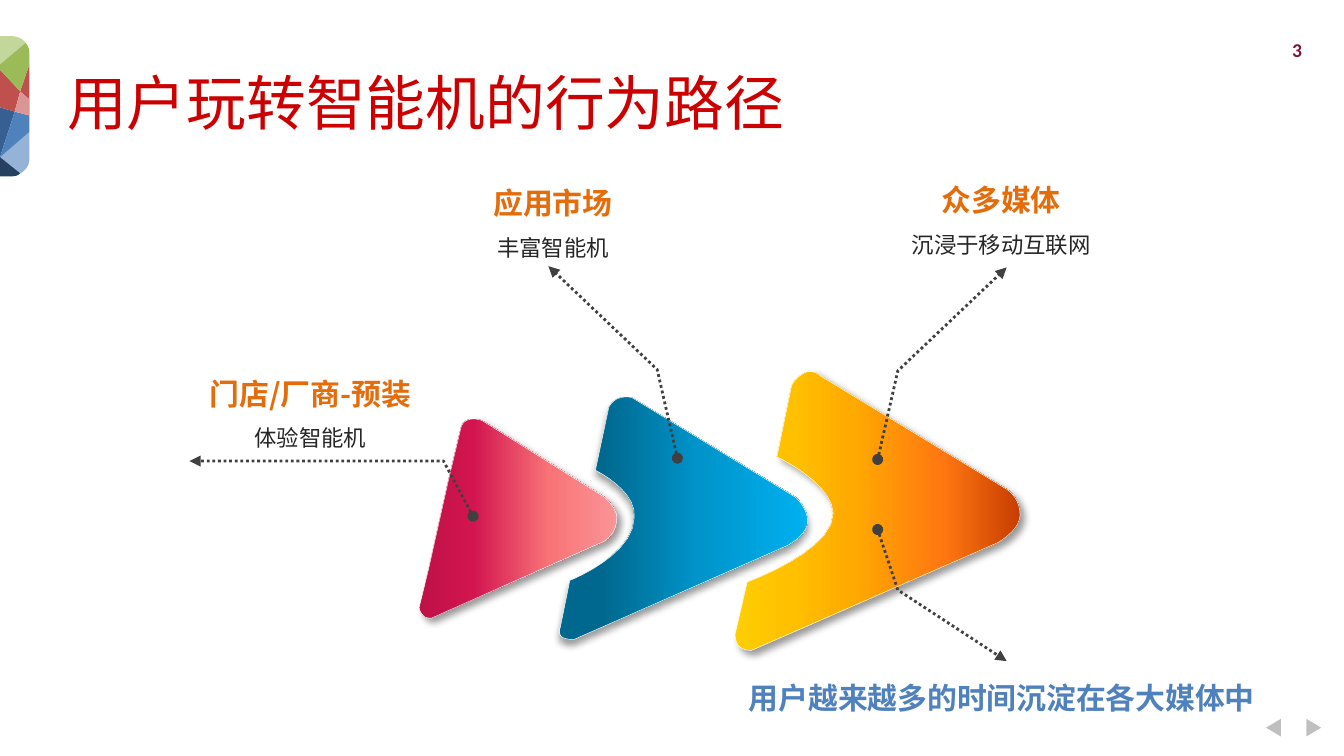
from dataclasses import dataclass

from lxml.etree import SubElement
from pptx import Presentation
from pptx.dml.color import RGBColor
from pptx.enum.dml import MSO_LINE
from pptx.enum.shapes import MSO_SHAPE as Preset
from pptx.enum.text import MSO_AUTO_SIZE as AutoSize, PP_ALIGN as Align
from pptx.oxml.ns import qn
from pptx.util import Pt


@dataclass(frozen=True)
class Theme:
    cjk: str = "Noto Sans CJK SC"
    latin: str = "Calibri"
    title: str = "CC0000"
    heading: str = "E46C0A"
    body: str = "262626"
    summary: str = "4F81BD"
    number: str = "801637"
    leader: str = "404040"
    button: str = "BFBFBF"
    edge: str = "FFFFFF"
    pink: tuple = ((0, "BE1247"), (27, "D2144F"), (66, "F87477"), (100, "FA9496"))
    blue: tuple = ((17, "00688E"), (56, "0094CA"), (100, "00B0F0"))
    orange: tuple = ((0, "FECE02"), (20, "FFC000"), (41, "FFAA01"),
                     (73, "FF7711"), (100, "C73E01"))
    title_size: float = 32
    heading_size: float = 16
    body_size: float = 12
    number_size: float = 10.5


THEME = Theme()


def flatten(path, steps=10):
    """Turn (x, y) corners and (x1, y1, x2, y2, x, y) Bezier curves into points."""
    points = [path[0]]
    for item in path[1:]:
        if len(item) == 2:
            points.append(item)
            continue
        start, first, second, end = points[-1], item[:2], item[2:4], item[4:]
        for step in range(1, steps + 1):
            t = step / steps
            u = 1 - t
            points.append(tuple(
                u**3 * a + 3 * u * u * t * b + 3 * u * t * t * c + t**3 * d
                for a, b, c, d in zip(start, first, second, end)))
    return points


def write(para, text, *, size, color, font=THEME.cjk, bold=False,
          align=Align.CENTER, spacing=None, before=None):
    para.alignment = align
    if spacing:
        para.line_spacing = spacing
    if before:
        para.space_before = Pt(before)
    span = para.add_run()
    span.text = text
    span.font.size = Pt(size)
    span.font.bold = bold
    span.font.color.rgb = RGBColor.from_string(color)
    span.font.name = font
    SubElement(span.font._element, qn("a:ea"), typeface=font)


class SlideBuilder:
    def __init__(self, page, theme):
        self.page = page
        self.theme = theme

    def text_box(self, left, top, width, height, *, wrap=True, grow=True, inset=True):
        box = self.page.shapes.add_textbox(Pt(left), Pt(top), Pt(width), Pt(height))
        frame = box.text_frame
        frame.word_wrap = wrap
        frame.auto_size = AutoSize.SHAPE_TO_FIT_TEXT if grow else AutoSize.NONE
        if not inset:
            frame.margin_left = frame.margin_right = 0
            frame.margin_top = frame.margin_bottom = 0
        return frame

    def outline(self, path, closed=True):
        points = [(Pt(x), Pt(y)) for x, y in flatten(path)]
        builder = self.page.shapes.build_freeform(*points[0])
        builder.add_line_segments(points[1:], close=closed)
        shape = builder.convert_to_shape()
        shape.shadow.inherit = False
        return shape

    def paint(self, shape, color):
        shape.fill.solid()
        shape.fill.fore_color.rgb = RGBColor.from_string(color)
        shape.line.fill.background()

    def facet(self, path, color):
        self.paint(self.outline(path), color)

    def button(self, left, turn):
        shape = self.page.shapes.add_shape(
            Preset.ISOSCELES_TRIANGLE, Pt(left), Pt(385.9), Pt(9.4), Pt(7.9))
        shape.rotation = turn
        shape.shadow.inherit = False
        self.paint(shape, self.theme.button)

    def stage(self, path, stops, shadow_angle):
        """Draw a rounded arrowhead with a left-to-right gradient and a shadow."""
        shape = self.outline(path)
        shape.fill.gradient()
        shape.fill.gradient_angle = 0
        properties = shape.element.spPr
        stop_list = properties.find(".//" + qn("a:gsLst"))
        for old in list(stop_list):
            stop_list.remove(old)
        for position, color in stops:
            stop = SubElement(stop_list, qn("a:gs"), pos=str(position * 1000))
            SubElement(stop, qn("a:srgbClr"), val=color)
        shape.line.color.rgb = RGBColor.from_string(self.theme.edge)
        shape.line.width = Pt(0.25)
        shadow = SubElement(
            properties.find(qn("a:effectLst")), qn("a:outerShdw"),
            blurRad=str(Pt(4)), dist=str(Pt(3)), dir=str(shadow_angle * 60000),
            algn="ctr", rotWithShape="0")
        tint = SubElement(shadow, qn("a:srgbClr"), val="000000")
        SubElement(tint, qn("a:alpha"), val="40000")

    def leader(self, *points):
        """Draw a bent dotted line from a dot to an arrowhead."""
        shape = self.outline(points, closed=False)
        shape.fill.background()
        shape.line.color.rgb = RGBColor.from_string(self.theme.leader)
        shape.line.width = Pt(1.5)
        shape.line.dash_style = MSO_LINE.ROUND_DOT
        stroke = shape.element.spPr.find(qn("a:ln"))
        SubElement(stroke, qn("a:headEnd"), type="oval")
        SubElement(stroke, qn("a:tailEnd"), type="triangle")

    def label(self, left, top, width, heading, detail):
        frame = self.text_box(left, top, width, 57.6)
        write(frame.paragraphs[0], heading, size=self.theme.heading_size,
              color=self.theme.heading, bold=True, spacing=1.5)
        write(frame.add_paragraph(), detail, size=self.theme.body_size,
              color=self.theme.body, spacing=1.5)


HUB, NECK = (7.9, 59.8), (10.8, 49)
FACETS = (
    ([(15.8, 70.6), (0, 84.2), (10.8, 92.9),
      (13.7, 91.4, 15.8, 88.6, 15.8, 85)], "95B3D7"),
    ([HUB, (0, 57.6), (0, 84.2)], "376092"),
    ([HUB, (0, 84.2), (15.8, 70.6), (15.8, 61.9)], "4F81BD"),
    ([(10.8, 92.9), (0, 84.2), (0, 94.5), (5.8, 94.5),
      (7.9, 94.5, 9.4, 94.3, 10.8, 92.9)], "254061"),
    ([(0, 34.6), (13.7, 23), (12.2, 20.9, 9.4, 19.4, 5.8, 19.4), (0, 19.4)], "C3D69B"),
    ([(15.8, 34.6), NECK, (15.8, 53.3)], "C0504D"),
    ([HUB, NECK, (0, 37.4), (0, 57.6)], "C0504D"),
    ([(0, 37.4), NECK, (15.8, 34.6), (15.8, 28.8),
      (15.8, 26.6, 15.1, 24.5, 13.7, 23), (0, 34.6)], "9BBB59"),
    ([(15.8, 53.3), NECK, HUB, (15.8, 61.9)], "D99694"),
)
MEDIA_STAGE = [
    (546.5, 275.8), (546.5, 284.4, 534.2, 290.9, 534.2, 290.9), (402.5, 348.5),
    (402.5, 348.5, 398.2, 348.5, 396, 346.3), (393.8, 344.2, 393.8, 339.8, 393.8, 339.8),
    (400.3, 311.8), (400.3, 311.8, 446.4, 295.2, 446.4, 275),
    (445.7, 258.5, 416.2, 244.8, 416.2, 244.8), (424.1, 206.6),
    (424.1, 206.6, 426.2, 201.6, 432, 199.4), (436.3, 198, 439.9, 201.6, 439.9, 201.6),
    (539.3, 262.1), (539.3, 262.1, 546.5, 266.4, 546.5, 275.8)]
MARKET_STAGE = [
    (432.7, 279.4), (432.7, 286.6, 421.9, 292.3, 421.9, 292.3), (307.4, 342.7),
    (307.4, 342.7, 303.1, 342.7, 301, 341.3), (298.8, 339.1, 300.2, 336.2, 300.2, 336.2),
    (305.3, 311), (305.3, 311, 339.8, 297.4, 339.8, 277.2),
    (341.3, 262.8, 319, 252, 319, 252), (326.2, 218.2),
    (326.2, 218.2, 328.3, 213.8, 332.6, 213.1), (337, 211.7, 339.8, 213.8, 339.8, 213.8),
    (426.2, 266.4), (426.2, 266.4, 432.7, 272.2, 432.7, 279.4)]
STORE_STAGE = [
    (240.5, 256.3), (247, 229), (247, 229, 247.7, 225.4, 252, 224.6),
    (254.9, 223.9, 258.5, 225.4, 258.5, 225.4), (324, 266.4),
    (324, 266.4, 330.5, 272.2, 330.5, 277.2), (330.5, 286.6, 323.3, 290.2, 323.3, 290.2),
    (231.1, 331.2), (231.1, 331.2, 227.5, 331.2, 226.8, 329.8),
    (224.6, 327.6, 224.6, 325.4, 224.6, 325.4), (229.7, 304.6)]


def main():
    deck = Presentation()
    deck.slide_width, deck.slide_height = Pt(720), Pt(405)
    slide = SlideBuilder(deck.slides.add_slide(deck.slide_layouts[6]), THEME)

    slide.button(699.1, 90)
    slide.button(677.5, 270)
    number = slide.text_box(681.1, 16.6, 27.4, 20.2, wrap=False)
    write(number.paragraphs[0], "3", size=THEME.number_size, color=THEME.number,
          font=THEME.latin, bold=True)
    title = slide.text_box(36, 39.6, 400.3, 31.7, grow=False, inset=False)
    write(title.paragraphs[0], "用户玩转智能机的行为路径", size=THEME.title_size,
          color=THEME.title, align=Align.LEFT, spacing=0.9, before=7.5)

    for path, color in FACETS:
        slide.facet(path, color)
    slide.stage(MEDIA_STAGE, THEME.orange, 45)
    slide.stage(MARKET_STAGE, THEME.blue, 90)
    slide.stage(STORE_STAGE, THEME.pink, 45)

    slide.label(460.8, 84.2, 151.2, "众多媒体", "沉浸于移动互联网")
    slide.leader((253.4, 276.5), (237.6, 247), (101.5, 247))
    slide.label(101.5, 187.9, 129.6, "门店/厂商-预装", "体验智能机")
    slide.leader((470.2, 246.2), (481, 198.7), (539.3, 143.3))
    slide.leader((362.9, 245.5), (352.1, 198), (293.8, 142.6))
    slide.label(208.8, 85.7, 175, "应用市场", "丰富智能机")
    summary = slide.text_box(383.8, 360.7, 306, 26.6)
    write(summary.paragraphs[0], "用户越来越多的时间沉淀在各大媒体中",
          size=THEME.heading_size, color=THEME.summary, bold=True)
    slide.leader((470.2, 283.7), (481, 316.1), (539.3, 354.2))

    deck.save("out.pptx")


if __name__ == "__main__":
    main()
